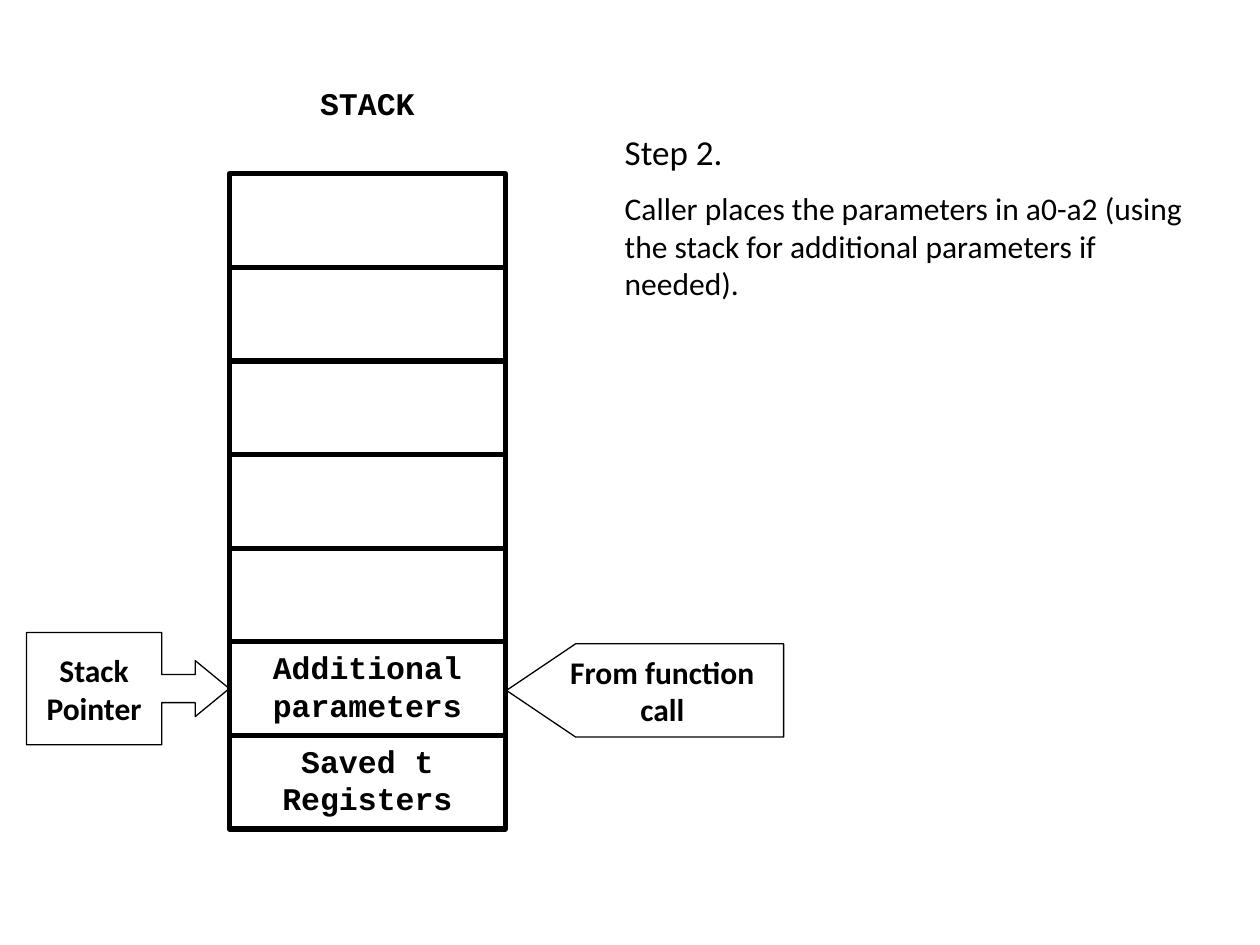
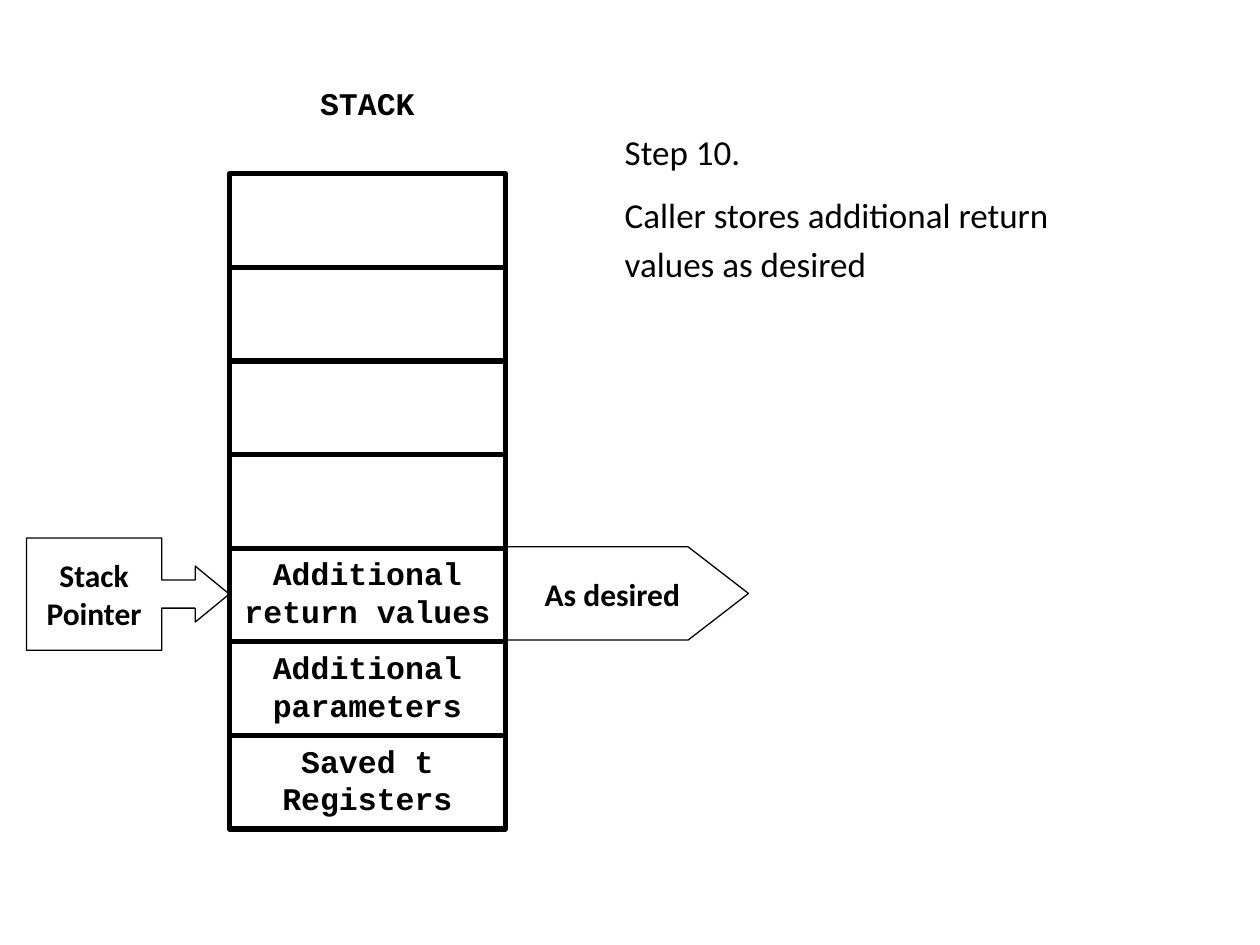
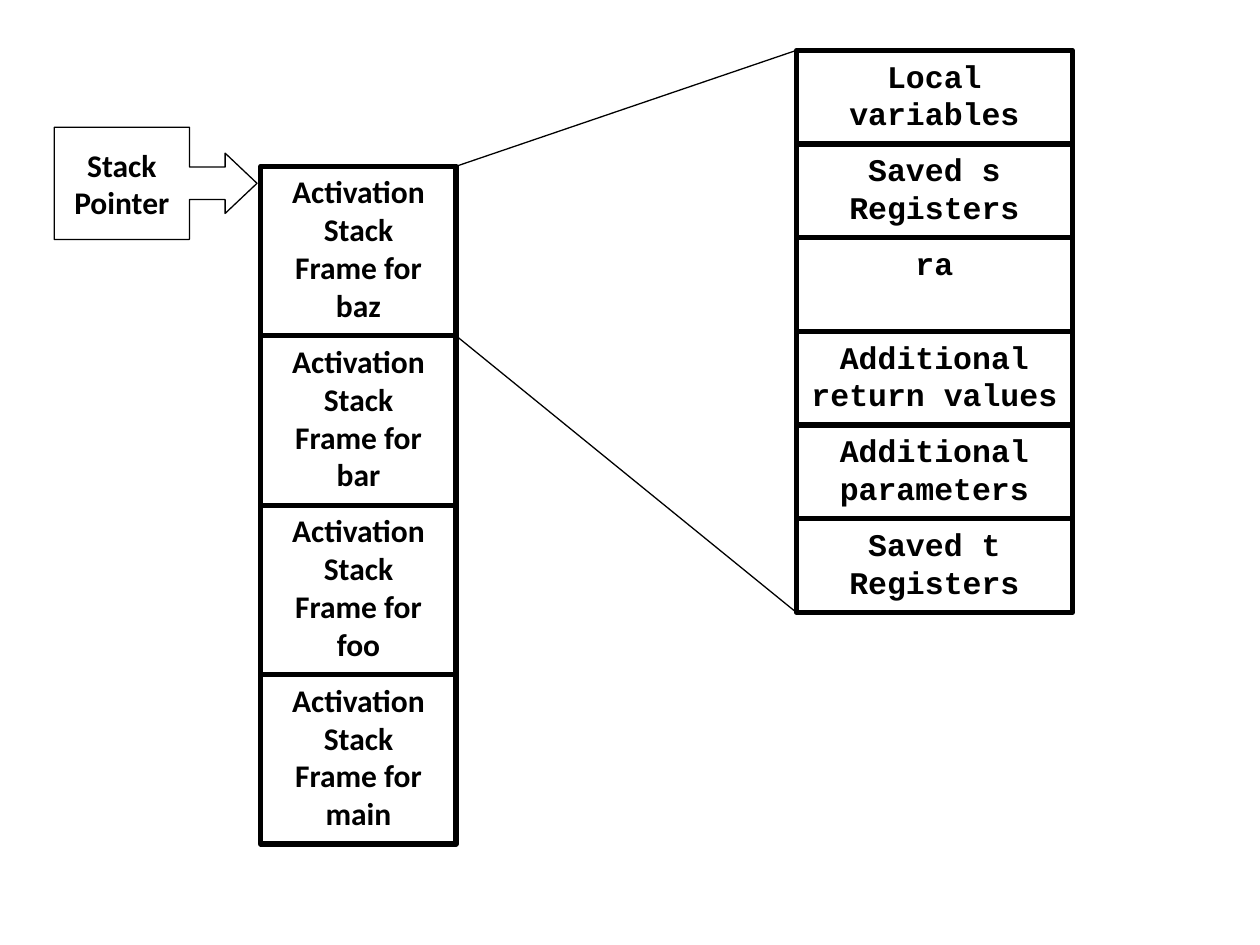
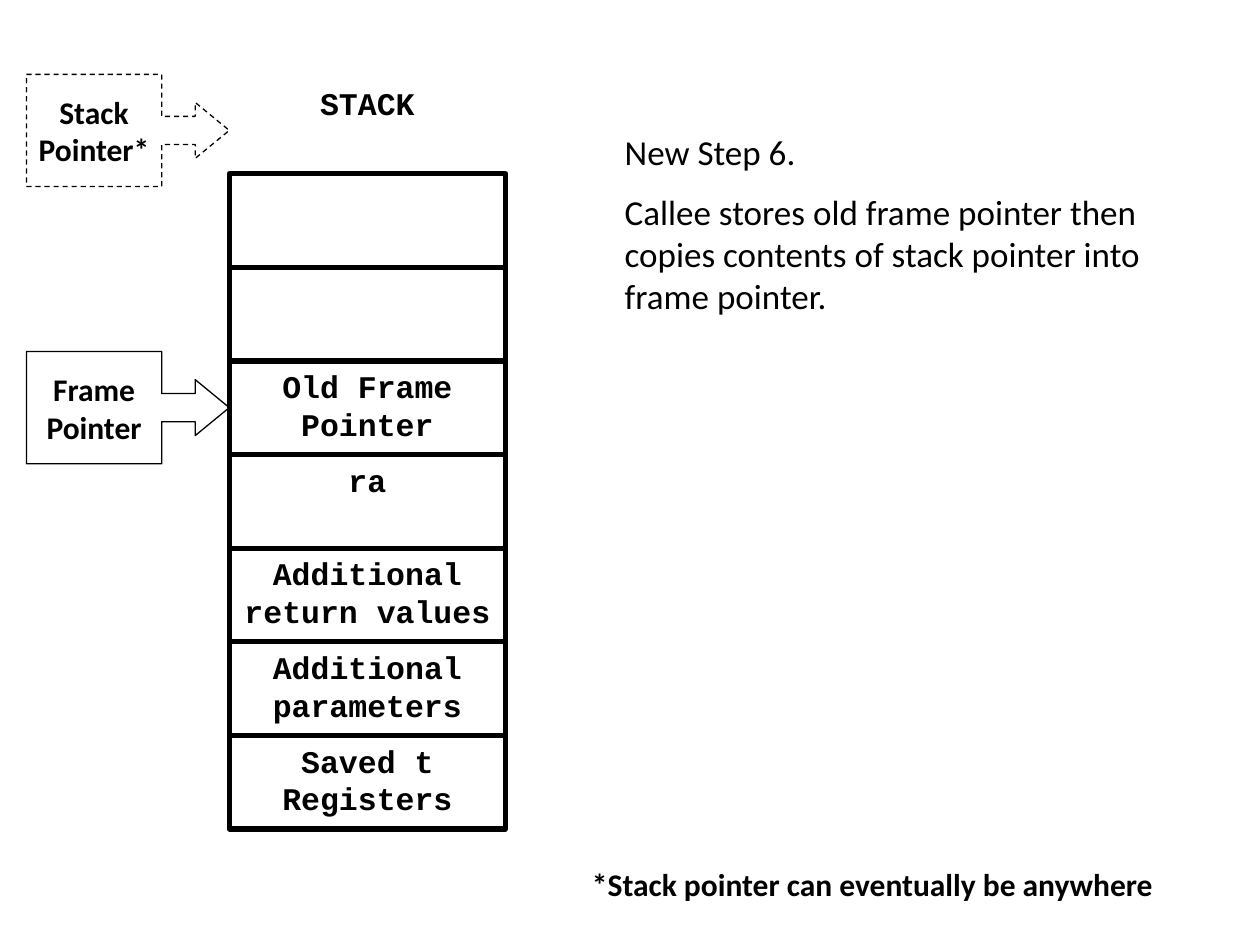
from dataclasses import dataclass
from typing import Optional

from lxml.etree import SubElement
from pptx import Presentation
from pptx.dml.color import RGBColor
from pptx.enum.dml import MSO_LINE
from pptx.enum.shapes import MSO_CONNECTOR, MSO_SHAPE
from pptx.enum.text import MSO_ANCHOR, PP_ALIGN
from pptx.oxml.ns import qn
from pptx.util import Inches, Pt

COLOURS = {"ink": "000000"}
INK = RGBColor.from_string(COLOURS["ink"])
SANS = "Calibri"
MONO = "Courier New"
THIN = 0.75
THICK = 3

SAVED_T = "Saved t Registers"
PARAMETERS = "Additional parameters"
RETURN_VALUES = "Additional return values"
STACK_LEFT, STACK_TOP, STACK_WIDTH, STACK_HEIGHT = 1.82, 1.38, 2.19, 5.2


@dataclass
class Area:
    left: float
    top: float
    width: float
    height: float

    def lengths(self) -> tuple:
        return tuple(Inches(n) for n in (self.left, self.top, self.width, self.height))


@dataclass
class Style:
    font: str = SANS
    size: float = 18
    bold: bool = True
    align: PP_ALIGN = PP_ALIGN.CENTER
    anchor: MSO_ANCHOR = MSO_ANCHOR.TOP
    wrap: bool = True


@dataclass
class Stack:
    area: Area
    labels: tuple
    font: str = MONO


@dataclass
class Pointer:
    label: str
    top: float
    left: float = 0.21
    dash: Optional[MSO_LINE] = None
    adjustments: tuple = (0.25, 0.25, 0.304, 0.667)


@dataclass
class Flag:
    label: str
    area: Area
    adjustment: float
    flipped: bool = False
    wrap: bool = True


@dataclass
class Step:
    title: str
    body: str
    width: float
    height: float
    body_size: float = 20
    gap: float = 10
    line_height: Optional[float] = None


MONO_STYLE = Style(font=MONO)


def set_all(target, values: dict) -> None:
    for name, value in values.items():
        setattr(target, name, value)


def write_text(frame, text: str, style: Style) -> list:
    set_all(frame, {"word_wrap": style.wrap, "vertical_anchor": style.anchor})
    paras = []
    for number, line in enumerate(text.split("\n")):
        para = frame.add_paragraph() if number else frame.paragraphs[0]
        para.alignment = style.align
        span = para.add_run()
        span.text = line
        set_all(span.font, {"name": style.font, "size": Pt(style.size), "bold": style.bold})
        span.font.color.rgb = INK
        paras.append(para)
    return paras


def add_text(page, area: Area, text: str, style: Style) -> list:
    return write_text(page.shapes.add_textbox(*area.lengths()).text_frame, text, style)


def add_outline(page, kind: MSO_SHAPE, area: Area, weight: float, text: str, style: Style):
    box = page.shapes.add_shape(kind, *area.lengths())
    box.shadow.inherit = False
    box.fill.background()
    box.line.color.rgb = INK
    box.line.width = Pt(weight)
    if text:
        write_text(box.text_frame, text, style)
    return box


def add_stack(page, stack: Stack) -> None:
    area = stack.area
    row = area.height / len(stack.labels)
    for number, label in enumerate(stack.labels):
        cell = Area(area.left, area.top + number * row, area.width, row)
        add_outline(page, MSO_SHAPE.RECTANGLE, cell, THICK, label, Style(font=stack.font))


def add_pointer(page, pointer: Pointer) -> None:
    area = Area(pointer.left, pointer.top, 1.61, 0.89)
    style = Style(anchor=MSO_ANCHOR.MIDDLE, wrap=False)
    box = add_outline(page, MSO_SHAPE.RIGHT_ARROW_CALLOUT, area, THIN, pointer.label, style)
    for number, value in enumerate(pointer.adjustments):
        box.adjustments[number] = value
    if pointer.dash:
        box.line.dash_style = pointer.dash


def add_flag(page, flag: Flag) -> None:
    style = Style(anchor=MSO_ANCHOR.MIDDLE, wrap=flag.wrap)
    box = add_outline(page, MSO_SHAPE.PENTAGON, flag.area, THIN, flag.label, style)
    box.adjustments[0] = flag.adjustment
    if flag.flipped:
        box._element.spPr.find(qn("a:xfrm")).set("flipH", "1")


def add_step(page, step: Step) -> None:
    area = Area(4.86, 0.99, step.width, step.height)
    style = Style(size=20, bold=False, align=PP_ALIGN.LEFT)
    body = add_text(page, area, f"{step.title}\n{step.body}", style)[1]
    body.space_before = Pt(step.gap)
    body.runs[0].font.size = Pt(step.body_size)
    if step.line_height:
        body.line_spacing = Pt(step.line_height)


def add_line(page, start: tuple, end: tuple) -> None:
    points = [Inches(n) for n in (*start, *end)]
    line = page.shapes.add_connector(MSO_CONNECTOR.STRAIGHT, *points)
    line.line.color.rgb = INK
    line.line.width = Pt(THIN)
    SubElement(line._element.spPr, qn("a:effectLst"))


def add_stack_page(deck, step: Step, labels: tuple, pointers: tuple, flags: tuple = ()):
    page = deck.slides.add_slide(deck.slide_layouts[6])
    add_step(page, step)
    add_text(page, Area(STACK_LEFT, 0.62, STACK_WIDTH, 0.74), "STACK", MONO_STYLE)
    area = Area(STACK_LEFT, STACK_TOP, STACK_WIDTH, STACK_HEIGHT)
    add_stack(page, Stack(area, labels))
    for pointer in pointers:
        add_pointer(page, pointer)
    for flag in flags:
        add_flag(page, flag)
    return page


def add_frames_page(deck) -> None:
    page = deck.slides.add_slide(deck.slide_layouts[6])
    frames = Area(2.07, 1.32, 1.55, 5.38)
    detail = Area(6.32, 0.4, STACK_WIDTH, 4.46)
    callers = ("baz", "bar", "foo", "main")
    labels = tuple(f"Activation\nStack\nFrame for\n{name}" for name in callers)
    parts = ("Local variables", "Saved s Registers", "ra", RETURN_VALUES, PARAMETERS, SAVED_T)
    add_pointer(page, Pointer("Stack\nPointer", 1.01, 0.43, adjustments=(0.29, 0.269, 0.284, 0.667)))
    add_stack(page, Stack(frames, labels, SANS))
    add_stack(page, Stack(detail, parts))
    right = frames.left + frames.width
    first_bottom = frames.top + frames.height / len(callers)
    add_line(page, (right, frames.top), (detail.left, detail.top))
    add_line(page, (right, first_bottom), (detail.left, detail.top + detail.height))


def build() -> None:
    deck = Presentation()
    set_all(deck, {"slide_width": Inches(10), "slide_height": Inches(7.5)})

    add_stack_page(
        deck,
        Step("Step 2.", "Caller places the parameters in a0-a2 (using the stack for "
             "additional parameters if needed).", 4.69, 1.99, body_size=18, gap=9),
        ("",) * 5 + (PARAMETERS, SAVED_T),
        (Pointer("Stack\nPointer", 5.02),),
        (Flag("From function call", Area(4.02, 5.11, 2.2, 0.74), 0.742, flipped=True),),
    )
    add_stack_page(
        deck,
        Step("Step 10.", "Caller stores additional return values as desired",
             3.98, 1.33, gap=8, line_height=28),
        ("",) * 4 + (RETURN_VALUES, PARAMETERS, SAVED_T),
        (Pointer("Stack\nPointer", 4.27),),
        (Flag("As desired", Area(4.02, 4.34, 1.92, 0.74), 0.647, wrap=False),),
    )
    add_frames_page(deck)
    page = add_stack_page(
        deck,
        Step("New Step 6.", "Callee stores old frame pointer then copies contents of "
             "stack pointer into frame pointer.", 4.66, 1.6),
        ("", "", "Old Frame\nPointer", "ra", RETURN_VALUES, PARAMETERS, SAVED_T),
        (Pointer("Frame\nPointer", 2.79),
         Pointer("Stack\nPointer*", 0.59, dash=MSO_LINE.DASH)),
    )
    add_text(page, Area(4.6, 6.82, 5.26, 0.4), "*Stack pointer can eventually be anywhere",
             Style(align=PP_ALIGN.LEFT))

    deck.save("out.pptx")


build()
